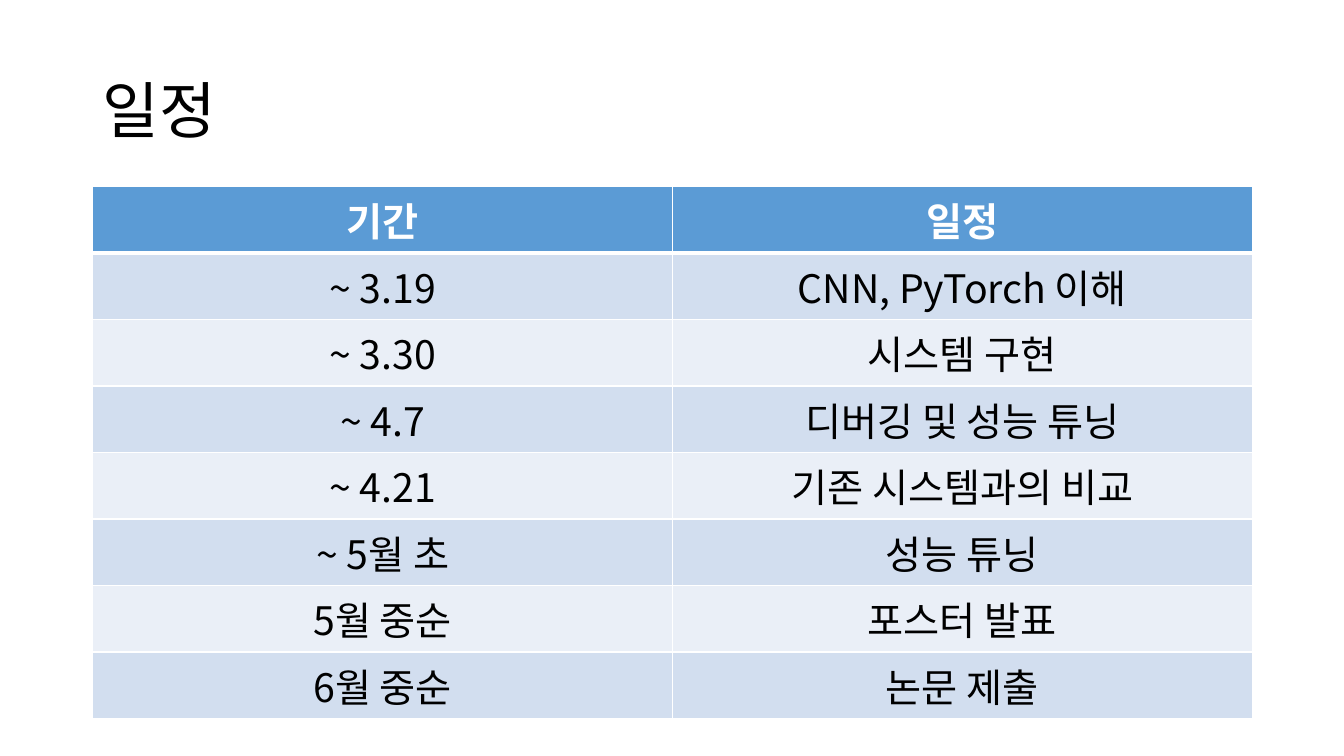
from dataclasses import dataclass

from lxml import etree
from pptx import Presentation
from pptx.dml.color import RGBColor
from pptx.enum.text import MSO_ANCHOR, PP_ALIGN
from pptx.oxml.ns import qn
from pptx.util import Inches, Pt

MIDDLE = MSO_ANCHOR.MIDDLE
CENTER = PP_ALIGN.CENTER
FONT = "Noto Sans CJK KR"
COLORS = {
    "text": "000000",
    "white": "FFFFFF",
    "header": "5B9BD5",
    "band_dark": "D2DEEF",
    "band_light": "EAEFF7",
}
LEFT, WIDTH = 0.92, 11.5
TITLE_TOP, TITLE_HEIGHT = 0.4, 1.45
TABLE_TOP, ROW_HEIGHT = 1.85, 0.66
THIN, THICK = 1, 3


@dataclass(frozen=True)
class Entry:
    period: str
    task: str


HEADER = Entry("기간", "일정")
SCHEDULE = [
    Entry("~ 3.19", "CNN, PyTorch 이해"),
    Entry("~ 3.30", "시스템 구현"),
    Entry("~ 4.7", "디버깅 및 성능 튜닝"),
    Entry("~ 4.21", "기존 시스템과의 비교"),
    Entry("~ 5월 초", "성능 튜닝"),
    Entry("5월 중순", "포스터 발표"),
    Entry("6월 중순", "논문 제출"),
]


def rgb(name: str) -> RGBColor:
    return RGBColor.from_string(COLORS[name])


def format_run(r, size: int, color: str, bold: bool = False) -> None:
    r.font.size = Pt(size)
    r.font.bold = bold
    r.font.color.rgb = rgb(color)
    r.font.name = FONT
    etree.SubElement(r.font._element, qn("a:ea")).set("typeface", FONT)


def set_borders(cell, top: int, bottom: int) -> None:
    tc_pr = cell._tc.get_or_add_tcPr()
    for tag, width in (("lnL", THIN), ("lnR", THIN), ("lnT", top), ("lnB", bottom)):
        ln = etree.SubElement(tc_pr, qn(f"a:{tag}"), w=str(Pt(width)))
        fill = etree.SubElement(ln, qn("a:solidFill"))
        etree.SubElement(fill, qn("a:srgbClr"), val=COLORS["white"])


def add_title(slide, text: str) -> None:
    box = slide.shapes.add_textbox(
        Inches(LEFT), Inches(TITLE_TOP), Inches(WIDTH), Inches(TITLE_HEIGHT))
    tf = box.text_frame
    tf.word_wrap = True
    tf.vertical_anchor = MIDDLE
    tf.text = text
    p = tf.paragraphs[0]
    p.line_spacing = 0.9
    format_run(p.runs[0], 44, "text")


def add_schedule(slide, entries: list[Entry]) -> None:
    table = slide.shapes.add_table(
        len(entries), 2, Inches(LEFT), Inches(TABLE_TOP),
        Inches(WIDTH), Inches(ROW_HEIGHT * len(entries))).table
    for i, entry in enumerate(entries):
        is_header = i == 0
        band = "header" if is_header else "band_dark" if i % 2 else "band_light"
        for cell, text in zip(table.rows[i].cells, (entry.period, entry.task)):
            set_borders(cell, THICK if i == 1 else THIN, THICK if is_header else THIN)
            cell.fill.solid()
            cell.fill.fore_color.rgb = rgb(band)
            cell.text_frame.text = text
            p = cell.text_frame.paragraphs[0]
            p.alignment = CENTER
            format_run(p.runs[0], 28, "white" if is_header else "text", is_header)


def main() -> None:
    prs = Presentation()
    prs.slide_width, prs.slide_height = Inches(13.33), Inches(7.5)
    slide = prs.slides.add_slide(prs.slide_layouts[6])

    # Title
    add_title(slide, "일정")

    # Schedule table
    add_schedule(slide, [HEADER, *SCHEDULE])

    prs.save("out.pptx")


if __name__ == "__main__":
    main()
